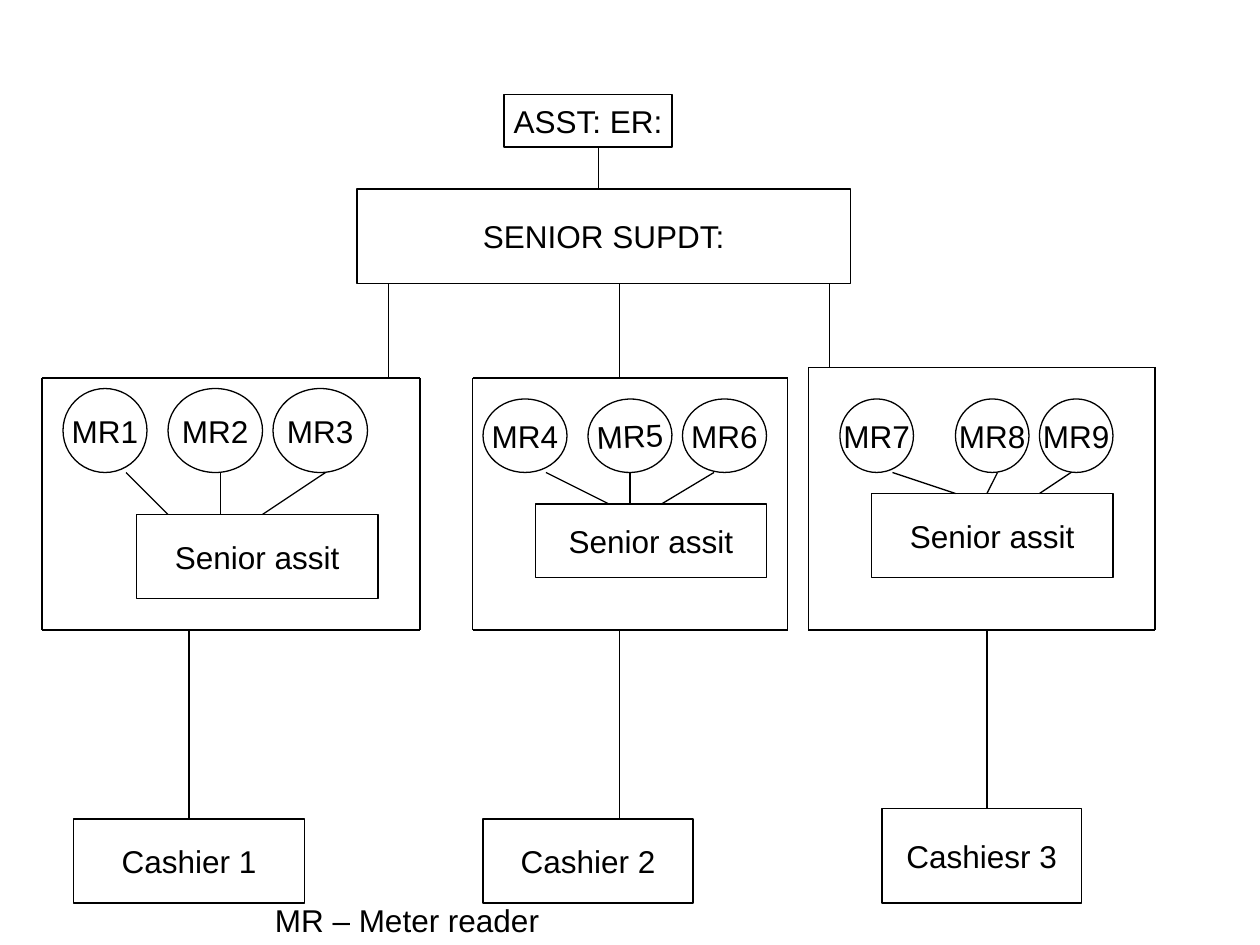
import pptx
import pptx.util
import pptx.dml.color
import pptx.enum.shapes
import pptx.enum.text
import pptx.oxml.ns
import lxml.etree

SHAPE = pptx.enum.shapes.MSO_SHAPE
CENTER = pptx.enum.text.PP_ALIGN.CENTER
FONT = {"name": "Arial", "size": pptx.util.Pt(18)}
FRAME = {"word_wrap": False, "vertical_anchor": pptx.enum.text.MSO_ANCHOR.MIDDLE}
NOTE_FRAME = {"word_wrap": True,
              "auto_size": pptx.enum.text.MSO_AUTO_SIZE.SHAPE_TO_FIT_TEXT}

# Boxes are (left, top, width, height) in grid steps of 1/12 inch.
# Within a team, places are offsets from its own box.
TEAMS = [
    {"box": (4, 36, 36, 24), "entry": 33, "drop": 14,
     "reader_y": 1, "reader_h": 8,
     "readers": [("MR1", 2, 8, 0), ("MR2", 12, 9, 0), ("MR3", 22, 9, 0)],
     "links": [(8, 12), (17, 17), (27, 21)],
     "assistant": (9, 13, 23, 8),
     "cashier": ("Cashier 1", 3, 42, 22, 8)},
    {"box": (45, 36, 30, 24), "entry": 14, "drop": 14,
     "reader_y": 2, "reader_h": 7,
     "readers": [("MR4", 1, 8, 0), ("MR5", 11, 8, 357.7), ("MR6", 20, 8, 0)],
     "links": [(7, 13), (15, 15), (23, 18)],
     "assistant": (6, 12, 22, 7),
     "cashier": ("Cashier 2", 1, 42, 20, 8)},
    {"box": (77, 35, 33, 25), "entry": 2, "drop": 17,
     "reader_y": 3, "reader_h": 7,
     "readers": [("MR7", 3, 7, 0), ("MR8", 14, 7, 0), ("MR9", 22, 7, 0)],
     "links": [(8, 14), (18, 17), (25, 22)],
     "assistant": (6, 12, 23, 8),
     "cashier": ("Cashiesr 3", 7, 42, 19, 9)},
]


def grid(*steps):
    """Turn grid steps into lengths."""
    return [pptx.util.Cm(n * 2.54 / 12) for n in steps]


def color(target, value):
    target.rgb = pptx.dml.color.RGBColor.from_string(value)


def set_all(obj, values):
    for name, value in values.items():
        setattr(obj, name, value)


def write(sp, text, frame, align=None):
    tf = sp.text_frame
    set_all(tf, frame)
    p = tf.paragraphs[0]
    p.alignment = align
    r = p.add_run()
    r.text = text
    set_all(r.font, FONT)
    color(r.font.color, "000000")


def outline(sp):
    color(sp.line.color, "000000")
    sp.line.width = pptx.util.Pt(0.75)


def add_node(s, text, box, kind=SHAPE.RECTANGLE):
    sp = s.shapes.add_shape(kind, *grid(*box))
    sp.shadow.inherit = False
    sp.fill.solid()
    color(sp.fill.fore_color, "FFFFFF")
    outline(sp)
    write(sp, text, FRAME, CENTER)
    return sp


def add_line(s, x1, y1, x2, y2):
    sp = s.shapes.add_connector(pptx.enum.shapes.MSO_CONNECTOR.STRAIGHT,
                                *grid(x1, y1, x2, y2))
    outline(sp)
    lxml.etree.SubElement(sp._element.spPr, pptx.oxml.ns.qn("a:effectLst"))
    return sp


def add_border(s, x, y, w, h):
    """Draw an open box from four lines."""
    corners = [(x, y), (x + w, y), (x + w, y + h), (x, y + h)]
    for start, end in zip(corners, corners[1:] + corners[:1]):
        add_line(s, *start, *end)


def add_team(s, team):
    x, y, w, h = team["box"]
    name, cx, cy, cw, ch = team["cashier"]
    ax, ay, aw, ah = team["assistant"]
    cashier = add_node(s, name, (x + cx, y + cy, cw, ch))
    add_node(s, "Senior assit", (x + ax, y + ay, aw, ah))
    for label, rx, rw, angle in team["readers"]:
        reader = add_node(s, label, (x + rx, y + team["reader_y"], rw,
                                     team["reader_h"]), SHAPE.OVAL)
        reader.rotation = angle
    add_border(s, x, y, w, h)
    reader_bottom = y + team["reader_y"] + team["reader_h"]
    for start, end in team["links"]:
        add_line(s, x + start, reader_bottom, x + end, y + ay)
    drop = add_line(s, x + team["drop"], y + h, x + team["drop"], y + cy)
    if team["drop"] == cx + cw / 2:
        drop.end_connect(cashier, 0)


def add_management(s, x, y):
    """Place the two top posts and the line between them."""
    add_node(s, "SENIOR SUPDT:", (x, y + 9, 47, 9))
    add_node(s, "ASST: ER:", (x + 14, y, 16, 5))
    add_line(s, x + 23, y + 5, x + 23, y + 9)


def add_note(s, x, y, w, h):
    sp = s.shapes.add_textbox(*grid(x, y, w, h))
    write(sp, "MR – Meter reader", NOTE_FRAME)


def main():
    prs = pptx.Presentation()
    prs.slide_width, prs.slide_height = grid(120, 90)
    s = prs.slides.add_slide(prs.slide_layouts[6])
    for team in TEAMS:
        add_team(s, team)
    add_management(s, 34, 9)
    for team in TEAMS:
        x, y = team["box"][:2]
        add_line(s, x + team["entry"], 27, x + team["entry"], y)
    add_note(s, 25, 85.2, 29.5, 4.8)
    prs.save("out.pptx")


if __name__ == "__main__":
    main()
